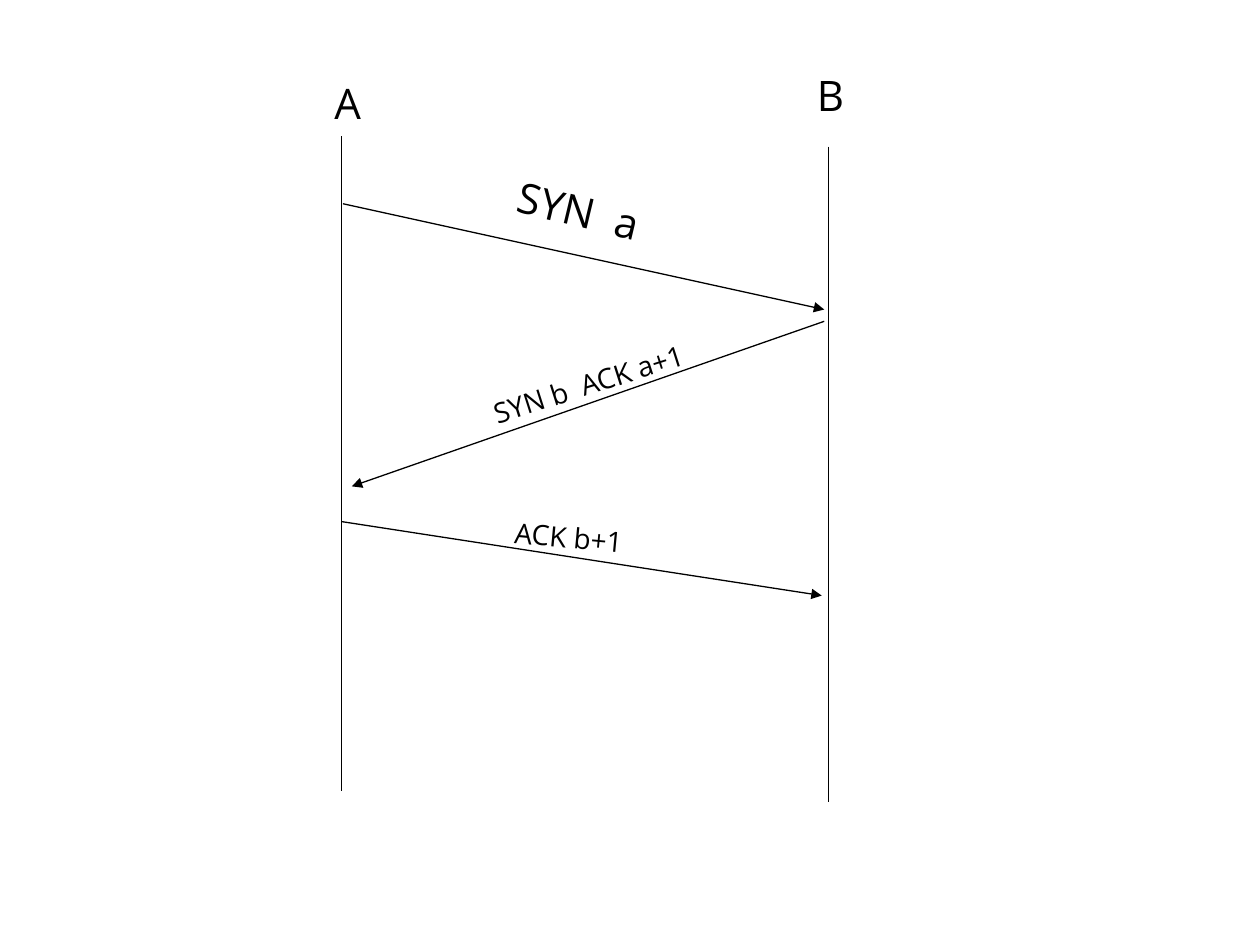
from collections import namedtuple

from pptx import Presentation
from pptx.dml.color import RGBColor
from pptx.enum.shapes import MSO_CONNECTOR as Connector
from pptx.enum.text import MSO_ANCHOR as Anchor, PP_ALIGN as Align
from pptx.oxml.ns import qn
from pptx.util import Inches, Pt
from lxml.etree import SubElement

BLACK = RGBColor(0, 0, 0)
FONT = "Open Sans"
CELL = Inches(0.1)
COLUMNS, ROWS = 100, 75
LABEL_ROWS = 6.8

Box = namedtuple("Box", "left top width height")
Message = namedtuple("Message", "wording start end centre columns angle size")

MESSAGES = [
    Message("SYN  a", (0.1, 5.37), (38.3, 13.77), (18.8, 5.87), 19.2, 13.6, 24),
    Message("SYN b  ACK a+1", (38.3, 14.7), (0.8, 27.8), (19.57, 19.64), 26.3, 342.2, 16),
    Message("ACK b+1", (0, 30.6), (38.1, 36.47), (18.03, 31.84), 26.3, 5.3, 16),
]


def cells(count):
    """Convert grid cells to a slide length."""
    return round(count * CELL)


def add_line(slide, box, start, end, arrow=False):
    """Draw a thin line between two grid points of the box."""
    ends = [cells(origin + offset) for point in (start, end)
            for origin, offset in zip((box.left, box.top), point)]
    line = slide.shapes.add_connector(Connector.STRAIGHT, *ends)
    line.line.color.rgb = BLACK
    line.line.width = Pt(0.75)
    if arrow:
        SubElement(line.line._get_or_add_ln(), qn("a:tailEnd"), type="triangle")
    SubElement(line._element.spPr, qn("a:effectLst"))


def add_label(slide, box, wording, centre, columns, size, angle=0):
    """Place a centred, optionally turned label around a grid point of the box."""
    label = slide.shapes.add_textbox(
        cells(box.left + centre[0] - columns / 2),
        cells(box.top + centre[1] - LABEL_ROWS / 2),
        cells(columns), cells(LABEL_ROWS))
    label.rotation = angle
    frame = label.text_frame
    frame.word_wrap = True
    frame.vertical_anchor = Anchor.MIDDLE
    paragraph = frame.paragraphs[0]
    paragraph.alignment = Align.CENTER
    run = paragraph.add_run()
    run.text = wording
    run.font.name = FONT
    run.font.size = Pt(size)
    run.font.color.rgb = BLACK


def add_host(slide, box, name, name_centre):
    """Draw one host's lifeline down the left of its box, with its name above."""
    add_line(slide, box, (0, 0), (0, box.height))
    add_label(slide, box, name, name_centre, 9.8, 24)


def add_message(slide, box, message):
    """Draw one message arrow and its slanted label."""
    add_line(slide, box, message.start, message.end, arrow=True)
    add_label(slide, box, message.wording, message.centre,
              message.columns, message.size, message.angle)


def add_handshake(slide, box):
    """Draw the two hosts and the messages between them."""
    host_b = Box(box.left + box.width, box.top + 0.84, 0, box.height)
    add_host(slide, box, "A", (0.48, -2.66))
    add_host(slide, host_b, "B", (0.15, -4.14))
    for message in MESSAGES:
        add_message(slide, box, message)


def main():
    """Build the handshake slide and save it."""
    deck = Presentation()
    deck.slide_width, deck.slide_height = cells(COLUMNS), cells(ROWS)
    slide = deck.slides.add_slide(deck.slide_layouts[6])
    add_handshake(slide, Box(27.12, 10.8, 38.64, 52))
    deck.save("out.pptx")


if __name__ == "__main__":
    main()
